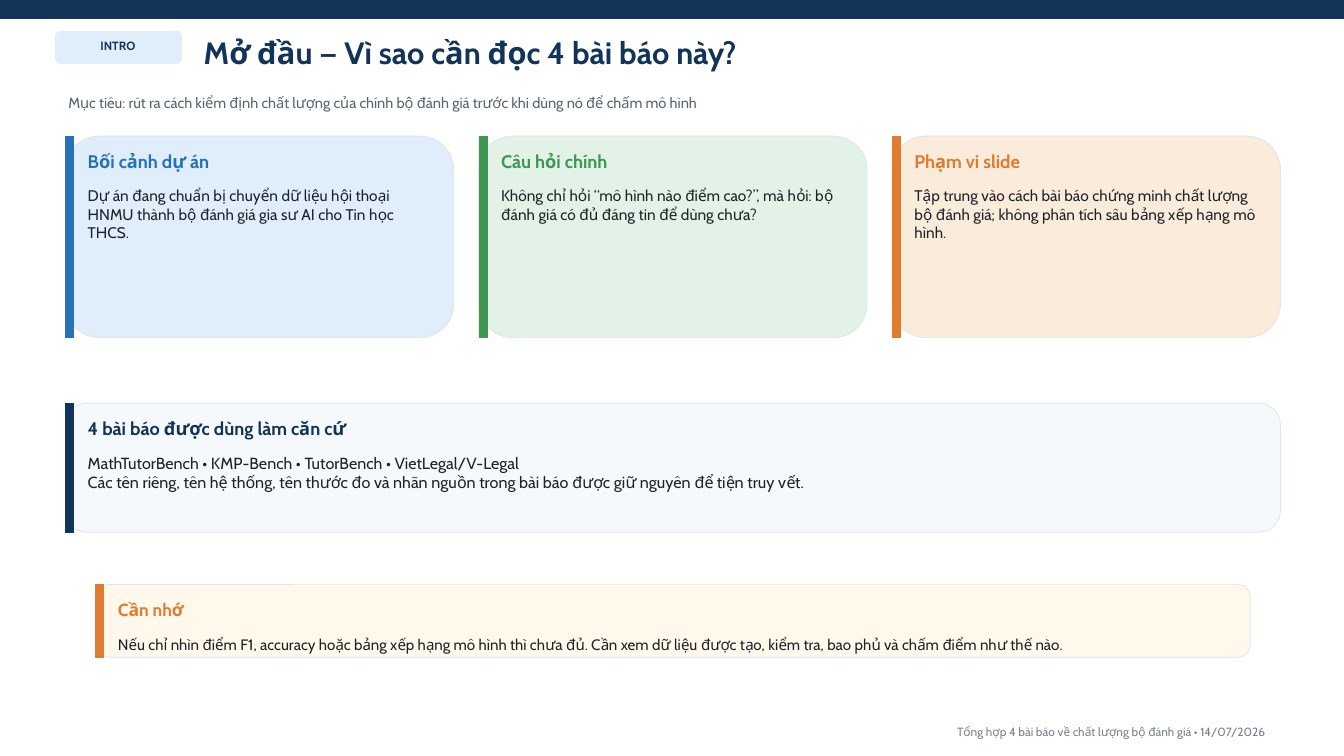
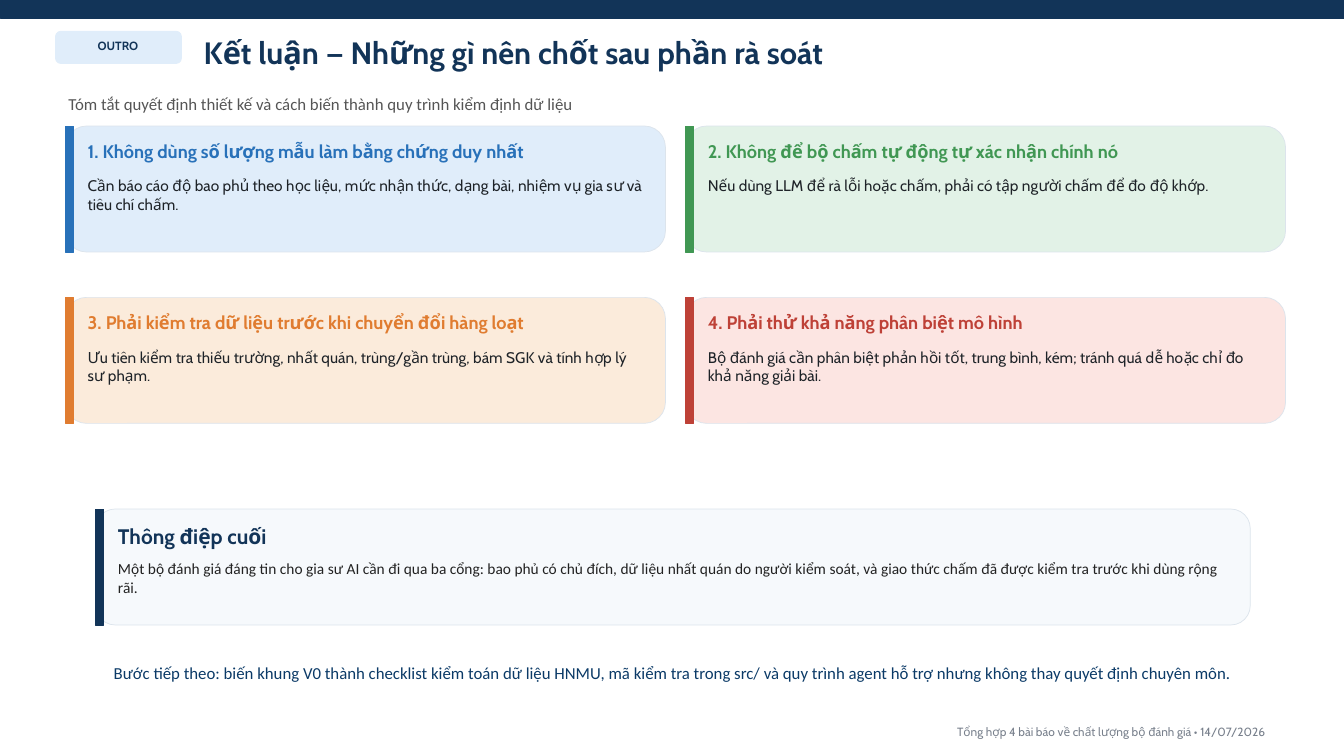
from pptx import Presentation
from pptx.dml.color import RGBColor
from pptx.enum.shapes import MSO_SHAPE
from pptx.enum.text import MSO_ANCHOR, MSO_AUTO_SIZE, PP_ALIGN
from pptx.util import Inches, Pt

C = {
    "navy": "123458", "blue": "2871B9", "green": "409753", "orange": "E07C30", "red": "BE4137",
    "pale_blue": "E0EDFA", "pale_green": "E2F2E7", "pale_orange": "FBEBDB", "pale_red": "FCE5E2",
    "pale_gray": "F6F9FC", "cream": "FFF8EB", "border": "DCE4EC",
    "text": "1E2328", "dark": "222222", "slate": "5B6370", "gray": "555555",
    "footer": "78808C", "next": "0B3A67",
}
WIDE = (0.1, 0.05, 0.1, 0.05)
TIGHT = (0.04, 0.02, 0.04, 0.05)
FOOTER = "Tổng hợp 4 bài báo về chất lượng bộ đánh giá • 14/07/2026"


def add_box(s, kind, x, y, w, h, fill, line):
    sp = s.shapes.add_shape(kind, Inches(x), Inches(y), Inches(w), Inches(h))
    sp.shadow.inherit = False
    sp.fill.solid()
    sp.fill.fore_color.rgb = RGBColor.from_string(C[fill])
    sp.line.color.rgb = RGBColor.from_string(C[line])
    sp.line.width = Pt(0.5)


def add_text(s, x, y, w, h, text, size, color, bold=False, font="Cabin",
             align=PP_ALIGN.LEFT, insets=TIGHT, sp=None):
    """Write text in a new text box, or in the placeholder sp."""
    if sp is None:
        sp = s.shapes.add_textbox(0, 0, 0, 0)
    sp.left, sp.top, sp.width, sp.height = [Inches(v) for v in (x, y, w, h)]
    tf = sp.text_frame
    tf.word_wrap = True
    tf.auto_size = MSO_AUTO_SIZE.SHAPE_TO_FIT_TEXT
    tf.vertical_anchor = MSO_ANCHOR.TOP
    tf.margin_left, tf.margin_top, tf.margin_right, tf.margin_bottom = [Inches(v) for v in insets]
    p = tf.paragraphs[0]
    p.text = text
    p.alignment = align
    p.font.name, p.font.size, p.font.bold = font, Pt(size), bold
    p.font.color.rgb = RGBColor.from_string(C[color])


# Slide 1 cards: three columns, then two wide cards
intro_columns = [
    ("pale_blue", "blue", "Bối cảnh dự án",
     "Dự án đang chuẩn bị chuyển dữ liệu hội thoại HNMU thành bộ đánh giá gia sư AI cho Tin học THCS."),
    ("pale_green", "green", "Câu hỏi chính",
     "Không chỉ hỏi “mô hình nào điểm cao?”, mà hỏi: bộ đánh giá có đủ đáng tin để dùng chưa?"),
    ("pale_orange", "orange", "Phạm vi slide",
     "Tập trung vào cách bài báo chứng minh chất lượng bộ đánh giá; không phân tích sâu bảng xếp hạng mô hình."),
]
body = {"size": 11, "color": "text"}
intro_cards = [((0.65 + 4.1 * i, 1.35, 3.85, 2), *column, 13, body)
               for i, column in enumerate(intro_columns)]
intro_cards += [
    ((0.65, 4, 12.05, 1.28), "pale_gray", "navy", "4 bài báo được dùng làm căn cứ",
     "MathTutorBench • KMP-Bench • TutorBench • VietLegal/V-Legal\n"
     "Các tên riêng, tên hệ thống, tên thước đo và nhãn nguồn trong bài báo được giữ nguyên để tiện truy vết.",
     13, {"size": 11.5, "color": "text"}),
    ((0.95, 5.8, 11.45, 0.72), "cream", "orange", "Cần nhớ",
     "Nếu chỉ nhìn điểm F1, accuracy hoặc bảng xếp hạng mô hình thì chưa đủ. "
     "Cần xem dữ liệu được tạo, kiểm tra, bao phủ và chấm điểm như thế nào.",
     12.5, {"size": 10.8, "color": "text"}),
]

# Slide 2 cards: two by two, then the closing message
outro_grid = [
    ("pale_blue", "blue", "1. Không dùng số lượng mẫu làm bằng chứng duy nhất",
     "Cần báo cáo độ bao phủ theo học liệu, mức nhận thức, dạng bài, nhiệm vụ gia sư và tiêu chí chấm."),
    ("pale_green", "green", "2. Không để bộ chấm tự động tự xác nhận chính nó",
     "Nếu dùng LLM để rà lỗi hoặc chấm, phải có tập người chấm để đo độ khớp."),
    ("pale_orange", "orange", "3. Phải kiểm tra dữ liệu trước khi chuyển đổi hàng loạt",
     "Ưu tiên kiểm tra thiếu trường, nhất quán, trùng/gần trùng, bám SGK và tính hợp lý sư phạm."),
    ("pale_red", "red", "4. Phải thử khả năng phân biệt mô hình",
     "Bộ đánh giá cần phân biệt phản hồi tốt, trung bình, kém; tránh quá dễ hoặc chỉ đo khả năng giải bài."),
]
outro_cards = [((0.65 + 6.15 * (i % 2), 1.25 + 1.7 * (i // 2), 5.95, 1.25), *cell, 13, body)
               for i, cell in enumerate(outro_grid)]
outro_cards.append(
    ((0.95, 5.05, 11.45, 1.15), "pale_gray", "navy", "Thông điệp cuối",
     "Một bộ đánh giá đáng tin cho gia sư AI cần đi qua ba cổng: bao phủ có chủ đích, dữ liệu nhất quán "
     "do người kiểm soát, và giao thức chấm đã được kiểm tra trước khi dùng rộng rãi.",
     15, {"size": 11, "color": "dark", "font": "Calibri"}))

slides = [
    ("INTRO", "Mở đầu — Vì sao cần đọc 4 bài báo này?",
     "Mục tiêu: rút ra cách kiểm định chất lượng của chính bộ đánh giá trước khi dùng nó để chấm mô hình",
     {"size": 10.5, "color": "slate"}, intro_cards),
    ("OUTRO", "Kết luận — Những gì nên chốt sau phần rà soát",
     "Tóm tắt quyết định thiết kế và cách biến thành quy trình kiểm định dữ liệu",
     {"size": 12, "color": "gray", "font": "Calibri"}, outro_cards),
]

prs = Presentation()
prs.slide_width, prs.slide_height = Inches(13.33), Inches(7.5)

for tag, title, subtitle, subtitle_style, cards in slides:
    s = prs.slides.add_slide(prs.slide_layouts[5])

    # Top band, tag, title, subtitle and footer
    add_box(s, MSO_SHAPE.RECTANGLE, 0, 0, 13.33, 0.18, "navy", "navy")
    add_box(s, MSO_SHAPE.ROUNDED_RECTANGLE, 0.55, 0.31, 1.25, 0.32, "pale_blue", "pale_blue")
    add_text(s, 0.62, 0.36, 1.1, 0.2, tag, 8.5, "navy", bold=True, align=PP_ALIGN.CENTER)
    add_text(s, 1.92, 0.28, 11.4, 0.58, title, 22, "navy", bold=True, insets=WIDE, sp=s.shapes.title)
    add_text(s, 0.58, 0.88, 11.9, 0.36, subtitle, insets=WIDE, **subtitle_style)
    add_text(s, 0.55, 7.14, 12.1, 0.25, FOOTER, 8.5, "footer", align=PP_ALIGN.RIGHT, insets=WIDE)

    # Cards with an accent stripe
    for (x, y, w, h), fill, accent, heading, text, heading_size, text_style in cards:
        add_box(s, MSO_SHAPE.ROUNDED_RECTANGLE, x, y, w, h, fill, "border")
        add_box(s, MSO_SHAPE.RECTANGLE, x, y, 0.08, h, accent, accent)
        add_text(s, x + 0.18, y + 0.12, w - 0.28, 0.28, heading, heading_size, accent, bold=True)
        add_text(s, x + 0.18, y + 0.48, w - 0.34, h - 0.55, text, **text_style)

# Next step under the closing message
add_text(s, 0.95, 6.55, 11.45, 0.35,
         "Bước tiếp theo: biến khung V0 thành checklist kiểm toán dữ liệu HNMU, mã kiểm tra trong src/ "
         "và quy trình agent hỗ trợ nhưng không thay quyết định chuyên môn.",
         12, "next", font="Calibri", align=PP_ALIGN.CENTER)

prs.save("out.pptx")
